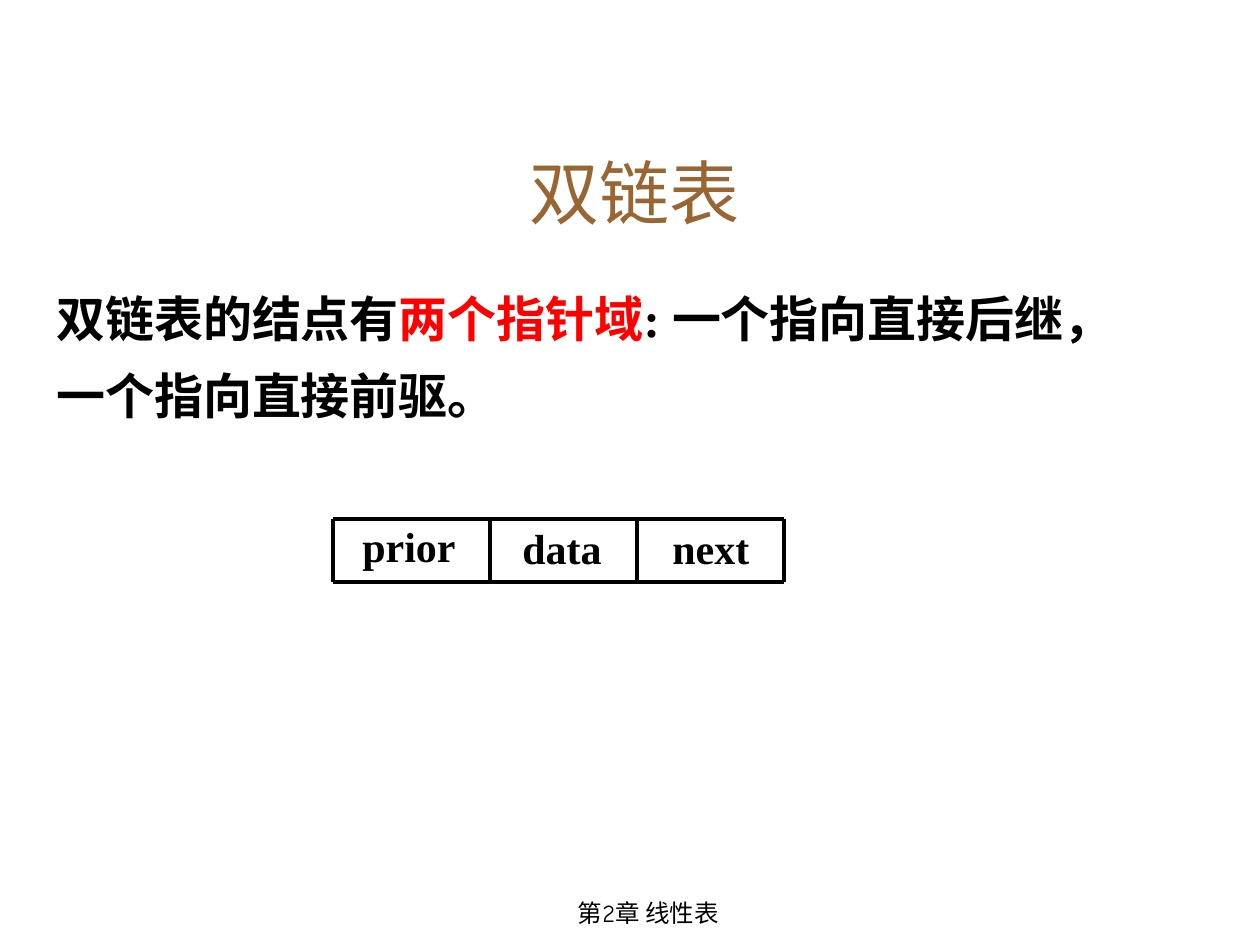
from dataclasses import dataclass

from lxml.etree import SubElement
from pptx import Presentation
from pptx.dml.color import RGBColor
from pptx.enum.shapes import MSO_CONNECTOR
from pptx.enum.text import MSO_ANCHOR, PP_ALIGN
from pptx.oxml.ns import qn
from pptx.util import Emu, Pt


@dataclass(frozen=True)
class Theme:
    title_color: str = "996633"
    ink: str = "000000"
    accent: str = "FF0000"
    cjk_font: str = "Noto Sans CJK SC"
    body_font: str = "Times New Roman"
    footer_font: str = "Comic Neue"
    title_size: int = 40
    body_size: int = 28
    label_size: int = 24
    footer_size: int = 14
    line_width: float = 2.25


THEME = Theme()
PX_PER_INCH = 126


def px(length):
    return Emu(round(length * 914400 / PX_PER_INCH))


def add_text(shapes, place, spans, font, size, bold=False,
             align=PP_ALIGN.LEFT, anchor=MSO_ANCHOR.TOP, spacing=None):
    """Add a one-paragraph text box; spans are (text, color) pairs."""
    box = shapes.add_textbox(*map(px, place))
    frame = box.text_frame
    frame.word_wrap = True
    frame.vertical_anchor = anchor
    para = frame.paragraphs[0]
    para.alignment = align
    if spacing:
        para.line_spacing = spacing
    for text, color in spans:
        span = para.add_run()
        span.text = text
        span.font.size = Pt(size)
        span.font.bold = bold
        span.font.color.rgb = RGBColor.from_string(color)
        span.font.name = font
        # East Asian characters use their own typeface
        east_asian = SubElement(span.font._element, qn("a:ea"))
        east_asian.set("typeface", THEME.cjk_font)


def add_line(shapes, start, end):
    line = shapes.add_connector(MSO_CONNECTOR.STRAIGHT, *map(px, start + end))
    line.line.color.rgb = RGBColor.from_string(THEME.ink)
    line.line.width = Pt(THEME.line_width)
    SubElement(line._element.spPr, qn("a:effectLst"))


def add_node(page):
    """Draw the list node: a ruled strip of three named fields."""
    shapes = page.shapes.add_group_shape().shapes
    columns = (333, 490, 637, 784)
    top, bottom = 519, 582
    for y in (top, bottom):
        add_line(shapes, (columns[0], y), (columns[-1], y))
    for x in columns:
        add_line(shapes, (x, top), (x, bottom))
    for name, left, label_top in (("prior", 350, 514),
                                  ("data", 510, 516),
                                  ("next", 660, 516)):
        add_text(shapes, (left, label_top, 179, 63), [(name, THEME.ink)],
                 THEME.body_font, THEME.label_size, bold=True)


def main():
    deck = Presentation()
    deck.slide_width, deck.slide_height = px(1260), px(945)
    page = deck.slides.add_slide(deck.slide_layouts[6])

    # Title
    add_text(page.shapes, (94, 135, 1081, 105), [("双链表", THEME.title_color)],
             THEME.cjk_font, THEME.title_size,
             align=PP_ALIGN.CENTER, anchor=MSO_ANCHOR.BOTTOM)

    # Explanation
    add_text(page.shapes, (44, 265, 1081, 166),
             [("双链表的结点有", THEME.ink),
              ("两个指针域", THEME.accent),
              (": 一个指向直接后继，一个指向直接前驱。", THEME.ink)],
             THEME.body_font, THEME.body_size, bold=True, spacing=1.3)

    # Node diagram
    add_node(page)

    # Footer
    add_text(page.shapes, (449, 892, 399, 63), [("第2章 线性表", THEME.ink)],
             THEME.footer_font, THEME.footer_size, align=PP_ALIGN.CENTER)

    deck.save("out.pptx")


if __name__ == "__main__":
    main()
